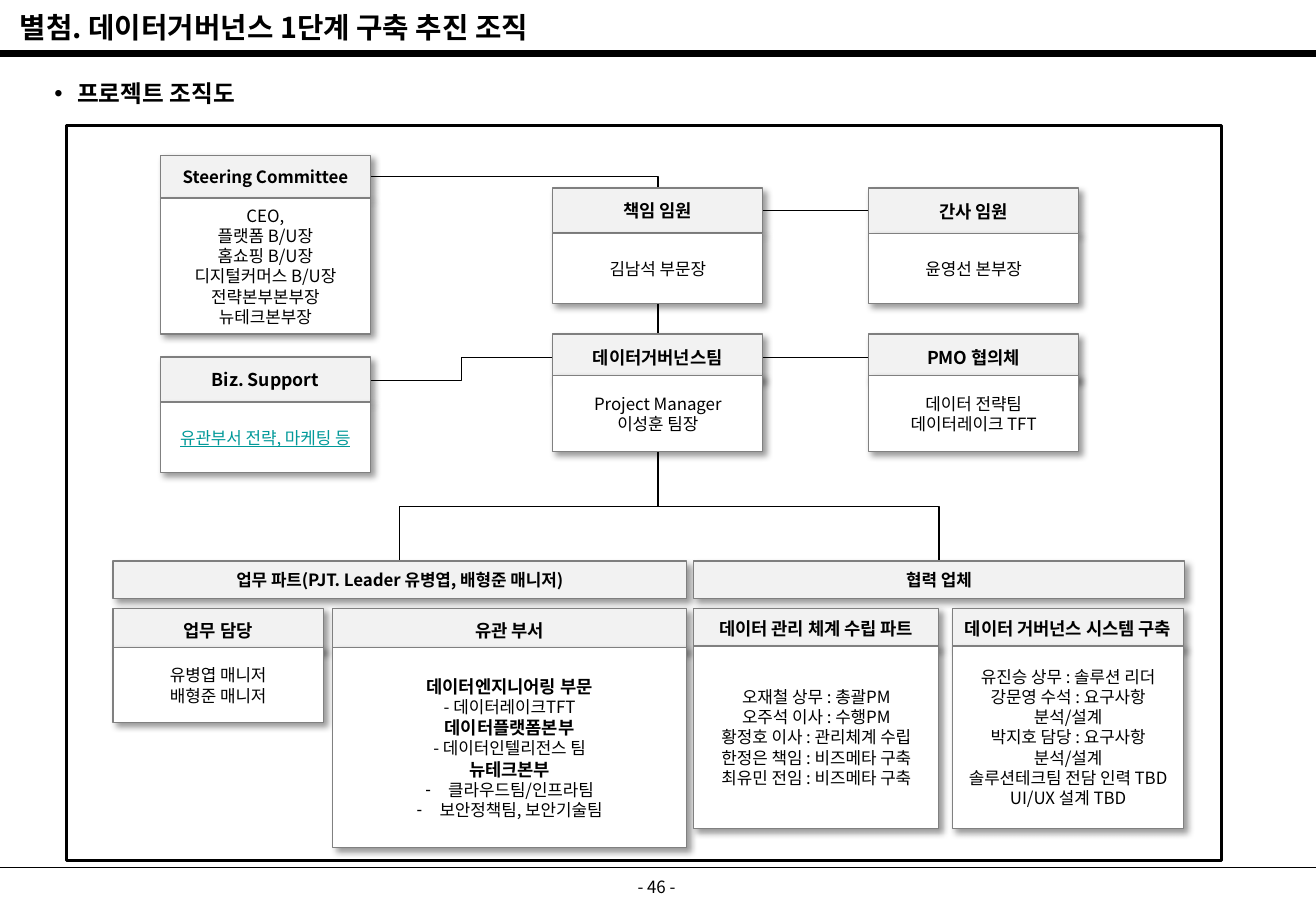
from lxml.etree import SubElement
from pptx import Presentation
from pptx.dml.color import RGBColor
from pptx.enum.shapes import MSO_CONNECTOR, MSO_SHAPE
from pptx.enum.text import MSO_ANCHOR, PP_ALIGN
from pptx.oxml.ns import qn
from pptx.util import Pt

FONT = "Noto Sans CJK KR"
HEX = {"ink": "000000", "paper": "FFFFFF", "head": "F2F2F2",
       "rim": "7F7F7F", "edge": "808080", "link": "009999"}
MID = PP_ALIGN.CENTER

deck = Presentation()
deck.slide_width, deck.slide_height = Pt(780), Pt(540)
slide = deck.slides.add_slide(deck.slide_layouts[5])
shapes = slide.shapes


def write(shape, paras, size=10, bold=False, align=MID, ink="ink", line=False):
    """Fill a shape: (mark, text) is a bullet, a leading * makes a line bold."""
    frame = shape.text_frame
    frame.word_wrap = True
    for i, item in enumerate(paras):
        para = frame.paragraphs[0] if i == 0 else frame.add_paragraph()
        para.alignment = align
        mark, text = item if isinstance(item, tuple) else ("", item)
        if mark:
            props = para._p.get_or_add_pPr()
            props.set("marL", str(Pt(13.5)))
            props.set("indent", str(-Pt(13.5)))
            SubElement(props, qn("a:buFont")).set("typeface", "Arial")
            SubElement(props, qn("a:buChar")).set("char", mark)
        for j, part in enumerate(text.split("\n")):
            if j:
                para.add_line_break()
            run = para.add_run()
            run.text = part.lstrip("*")
            star = part.startswith("*")
            look = {"size": Pt(10.5 if star else size), "bold": bold or star,
                    "underline": line, "name": FONT}
            for key, value in look.items():
                setattr(run.font, key, value)
            run.font.color.rgb = RGBColor.from_string(HEX[ink])
            SubElement(run._r.get_or_add_rPr(), qn("a:ea")).set("typeface", FONT)


def box(x, y, w, h, fill, rim, weight=0.75, shade=True):
    shape = shapes.add_shape(MSO_SHAPE.RECTANGLE, Pt(x), Pt(y), Pt(w), Pt(h))
    shape.fill.solid()
    shape.fill.fore_color.rgb = RGBColor.from_string(HEX[fill])
    shape.line.color.rgb = RGBColor.from_string(HEX[rim])
    shape.line.width = Pt(weight)
    shape.shadow.inherit = False
    if shade:
        list_ = shape._element.spPr.find(qn("a:effectLst"))
        cast = SubElement(list_, qn("a:outerShdw"), blurRad=str(Pt(4)),
                          dist=str(Pt(3)), dir="2700000", algn="tl", rotWithShape="0")
        tint = SubElement(cast, qn("a:srgbClr"), val=HEX["ink"])
        SubElement(tint, qn("a:alpha"), val="40000")
    frame = shape.text_frame
    frame.vertical_anchor = MSO_ANCHOR.MIDDLE
    for side in ("left", "top", "right", "bottom"):
        setattr(frame, "margin_" + side, Pt(2.83))
    return shape


# Title, subtitle and page number
title = shapes.title
title.left, title.top, title.width, title.height = Pt(4.5), Pt(2), Pt(754.5), Pt(28)
title.text_frame.vertical_anchor = MSO_ANCHOR.MIDDLE
write(title, ["별첨. 데이터거버넌스 1단계 구축 추진 조직"], 17, True, PP_ALIGN.LEFT)
sub = shapes.add_textbox(Pt(25.2), Pt(43.2), Pt(658.8), Pt(25.2))
write(sub, [("•", "프로젝트 조직도")], 14, True, PP_ALIGN.LEFT)
page = shapes.add_textbox(Pt(298), Pt(516.2), Pt(182.2), Pt(23.8))
write(page, ["- 46 -"])

box(39.6, 74.2, 684.7, 436.2, "paper", "ink", 1.75, False)

# Connectors: start, end, weight, preset, quarter turn
AXIS, FORK, ROOT = 390, 332.6, 267.8
links = [
    (0, 514.1, 780, 514.1, 0.75, "line"),
    (0, 31.7, 780, 31.7, 4.5, "line"),
    (219.6, 104.6, AXIS, 111.4, 0.75, "bentConnector2"),
    (452.2, 124.6, 514.8, 124.6, 0.75, "line"),
    (AXIS, 180, AXIS, 198, 0.75, "line"),
    (452.2, 211.7, 514.8, 211.7, 0.75, "line"),
    (219.6, 225.4, 327.6, 211.7, 0.75, "bentConnector3"),
]
for foot in (236.9, 556.6):
    dx, dy = foot - AXIS, FORK - ROOT
    cx, cy = AXIS + dx / 2, ROOT + dy / 2
    links.append((cx - dy / 2, cy + dx / 2, cx + dy / 2, cy - dx / 2,
                  0.75, "bentConnector3"))
for x1, y1, x2, y2, weight, kind in links:
    flat = kind == "line"
    link = shapes.add_connector(
        MSO_CONNECTOR.STRAIGHT if flat else MSO_CONNECTOR.ELBOW,
        Pt(x1), Pt(y1), Pt(x2), Pt(y2))
    link.line.color.rgb = RGBColor.from_string(HEX["ink"])
    link.line.width = Pt(weight)
    props = link._element.spPr
    props.find(qn("a:prstGeom")).set("prst", kind)
    if y1 > ROOT and not flat or y2 > ROOT and not flat:
        props.find(qn("a:xfrm")).set("rot", "5400000")
    SubElement(props, qn("a:effectLst"))

# Bars over the lower cards
for x, w, text in [(67, 339.8, "업무 파트(PJT. Leader 유병엽, 배형준 매니저)"),
                   (411.1, 290.9, "협력 업체")]:
    write(box(x, FORK, w, 22.3, "head", "rim"), [text], bold=True)

# Cards: left, top, width, head height, body top, body height, title, body
W = 124.6
cards = [
    (95, 92.2, W, 25.2, 117.4, 80.6, "Steering Committee",
     ["CEO,", "플랫폼 B/U장", "홈쇼핑 B/U장", "디지털커머스 B/U장",
      "전략본부본부장", "뉴테크본부장"]),
    (95, 211.7, W, 26.6, 238.3, 41.8, "Biz. Support", ["유관부서 전략, 마케팅 등"]),
    (327.6, 111.4, W, 26.6, 138.2, 41.8, "책임 임원", ["김남석 부문장"]),
    (514.8, 111.4, W, 27.4, 138.2, 41.8, "간사 임원", ["윤영선 본부장"]),
    (327.6, 198, W, 27.4, 222.5, 45.3, "데이터거버넌스팀",
     ["Project Manager", "이성훈 팀장"]),
    (514.8, 198, W, 27.4, 222.5, 45.3, "PMO 협의체",
     ["데이터 전략팀", "데이터레이크 TFT"]),
    (67, 360.7, W, 25.9, 383.8, 44.6, "업무 담당", ["유병엽 매니저", "배형준 매니저"]),
    (197.3, 360.7, 209.5, 25.9, 383.8, 118.8, "유관 부서",
     ["*데이터엔지니어링 부문\n- 데이터레이크TFT",
      "*데이터플랫폼본부\n- 데이터인텔리전스 팀", "*뉴테크본부",
      ("-", "클라우드팀/인프라팀"), ("-", "보안정책팀, 보안기술팀")]),
    (411.1, 360.7, 145.4, 23.8, 383, 108, "데이터 관리 체계 수립 파트",
     ["오재철 상무 : 총괄PM", "오주석 이사 : 수행PM", "황정호 이사 : 관리체계 수립",
      "한정은 책임 : 비즈메타 구축", "최유민 전임 : 비즈메타 구축"]),
    (564.5, 360.7, 137.2, 23.8, 383, 108, "데이터 거버넌스 시스템 구축",
     ["유진승 상무 : 솔루션 리더", "강문영 수석 : 요구사항 분석/설계",
      "박지호 담당 : 요구사항 분석/설계", "솔루션테크팀 전담 인력 TBD",
      "UI/UX 설계 TBD"]),
]
for x, y, w, high, top, deep, name, body in cards:
    size = 10 if name == "Steering Committee" else 10.5
    write(box(x, y, w, high, "head", "rim"), [name], size, True)
    biz = name == "Biz. Support"
    write(box(x, top, w, deep, "paper", "edge"), body,
          ink="link" if biz else "ink", line=biz)

deck.save("out.pptx")
